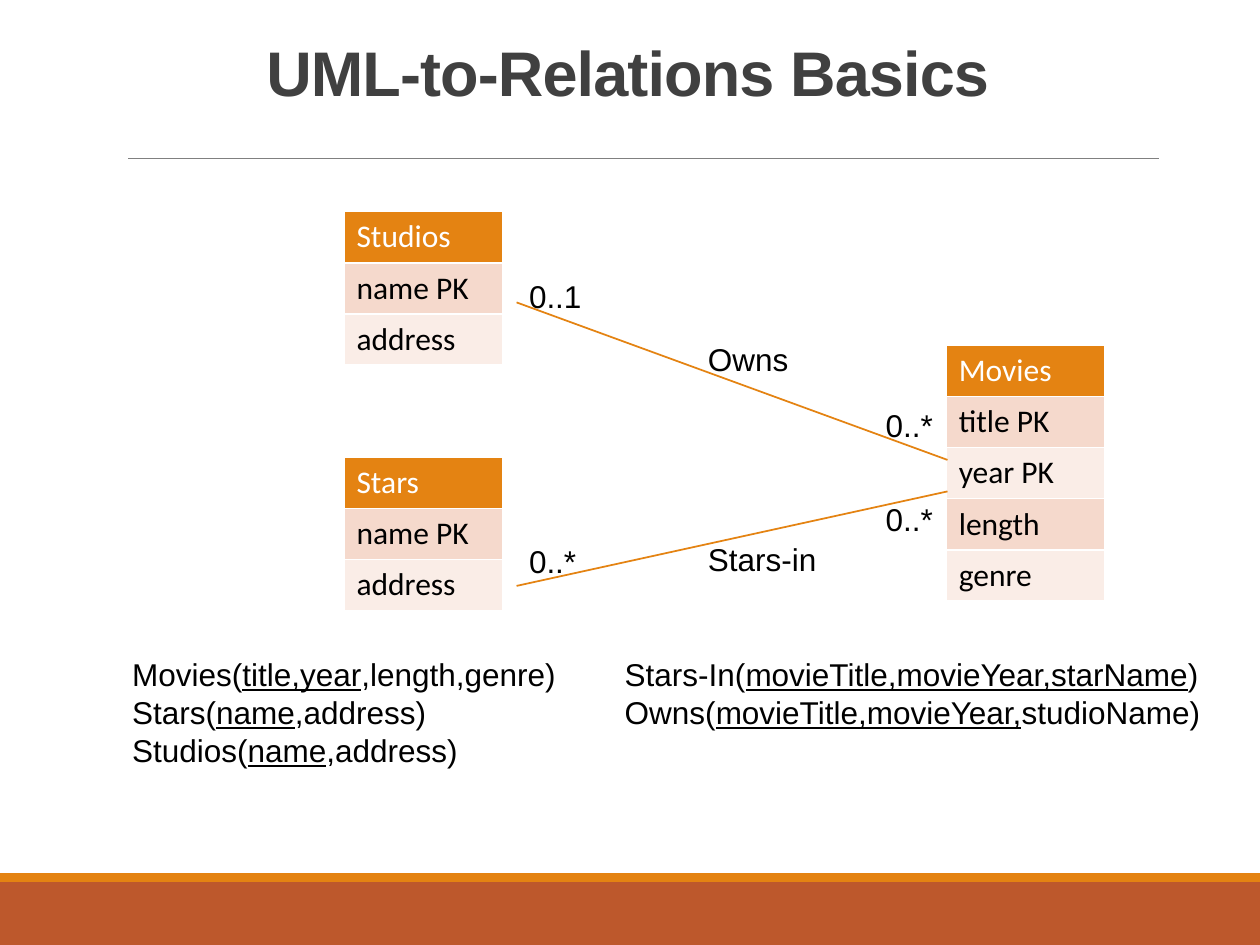
from pptx import Presentation
from pptx.dml.color import RGBColor
from pptx.enum.shapes import MSO_CONNECTOR, MSO_SHAPE
from pptx.enum.text import MSO_ANCHOR, MSO_AUTO_SIZE, PP_ALIGN
from pptx.oxml.ns import qn
from pptx.util import Inches, Pt
from lxml import etree

STRAIGHT = MSO_CONNECTOR.STRAIGHT
RECTANGLE = MSO_SHAPE.RECTANGLE
TOP = MSO_ANCHOR.TOP
GROW = MSO_AUTO_SIZE.SHAPE_TO_FIT_TEXT
CENTER = PP_ALIGN.CENTER

ORANGE, RUST, BLACK, WHITE = "E48312", "BD582C", "000000", "FFFFFF"
BANDS = ("F5D9CC", "FAEDE7")
COL_W, ROW_H = 1.26, 0.406

CLASSES = [
    (2.73, 1.68, ["Studios", "name PK", "address"]),
    (2.73, 3.63, ["Stars", "name PK", "address"]),
    (7.51, 2.74, ["Movies", "title PK", "year PK", "length", "genre"]),
]
ASSOCIATIONS = [(4.1, 2.4, 7.52, 3.65), (4.1, 4.65, 7.52, 3.9)]
LABELS = [
    (5.52, 2.65, 0.85, "Owns"),
    (4.1, 2.15, 0.62, "0..1"),
    (6.93, 3.17, 0.58, "0..*"),
    (4.1, 4.25, 0.58, "0..*"),
    (6.93, 3.92, 0.58, "0..*"),
    (5.52, 4.24, 1.09, "Stars-in"),
]
# Each relation: text before the key, underlined key, text after it
ENTITY_RELATIONS = [
    ("Movies(", "title,year", ",length,genre)"),
    ("Stars(", "name", ",address)"),
    ("Studios(", "name", ",address)"),
]
ASSOCIATION_RELATIONS = [
    ("Stars-In(", "movieTitle,movieYear,starName", ")"),
    ("Owns(", "movieTitle,movieYear,", "studioName)"),
]


def rgb(value):
    return RGBColor.from_string(value)


def add_run(p, text, color=BLACK, size=18, font="Arial"):
    r = p.add_run()
    r.text = text
    r.font.name = font
    r.font.size = Pt(size)
    r.font.color.rgb = rgb(color)
    return r


def add_bar(slide, y, h, color):
    sp = slide.shapes.add_shape(RECTANGLE, 0, Inches(y), Inches(10), Inches(h))
    sp.shadow.inherit = False
    sp.fill.solid()
    sp.fill.fore_color.rgb = rgb(color)
    sp.line.fill.background()


def add_line(slide, x1, y1, x2, y2, color=ORANGE, width=1):
    line = slide.shapes.add_connector(
        STRAIGHT, Inches(x1), Inches(y1), Inches(x2), Inches(y2))
    line.line.color.rgb = rgb(color)
    line.line.width = Pt(width)
    etree.SubElement(line._element.spPr, qn("a:effectLst"))


def add_title(slide, text):
    box = slide.shapes.add_textbox(
        Inches(0.64), Inches(0.31), Inches(8.68), Inches(0.92))
    tf = box.text_frame
    tf.word_wrap = True
    tf.vertical_anchor = TOP
    p = tf.paragraphs[0]
    p.alignment = CENTER
    p.line_spacing = 0.85
    r = add_run(p, text, "404040", 36)
    r.font.bold = True
    r.font._element.set("spc", "-50")


def add_text(slide, x, y, w, h, lines):
    """Add a text box; in each line, every second part is underlined."""
    box = slide.shapes.add_textbox(Inches(x), Inches(y), Inches(w), Inches(h))
    tf = box.text_frame
    tf.word_wrap = False
    tf.auto_size = GROW
    for i, parts in enumerate(lines):
        p = tf.add_paragraph() if i else tf.paragraphs[0]
        for j, part in enumerate(parts):
            r = add_run(p, part)
            if j % 2:
                r.font.underline = True


def add_class(slide, x, y, rows):
    """Add a UML class: a name row above banded attribute rows."""
    table = slide.shapes.add_table(
        len(rows), 1, Inches(x), Inches(y),
        Inches(COL_W), Inches(ROW_H * len(rows))).table
    for i, text in enumerate(rows):
        cell = table.cell(i, 0)
        cell.fill.solid()
        cell.fill.fore_color.rgb = rgb(BANDS[(i - 1) % 2] if i else ORANGE)
        r = add_run(cell.text_frame.paragraphs[0], text,
                    BLACK if i else WHITE, font="Calibri")
        r.font.bold = False


def main():
    prs = Presentation()
    prs.slide_width, prs.slide_height = Inches(10), Inches(7.5)
    slide = prs.slides.add_slide(prs.slide_layouts[6])

    add_bar(slide, 7, 0.5, RUST)
    add_bar(slide, 6.93, 0.07, ORANGE)
    add_line(slide, 1.02, 1.26, 9.2, 1.26, "808080", 0.5)
    add_title(slide, "UML-to-Relations Basics")

    for x, y, rows in CLASSES:
        add_class(slide, x, y, rows)
    for ends in ASSOCIATIONS:
        add_line(slide, *ends)
    for x, y, w, text in LABELS:
        add_text(slide, x, y, w, 0.4, [[text]])
    add_text(slide, 0.95, 5.15, 3.65, 1.01, ENTITY_RELATIONS)
    add_text(slide, 4.86, 5.15, 4.92, 0.71, ASSOCIATION_RELATIONS)

    prs.save("out.pptx")


if __name__ == "__main__":
    main()
